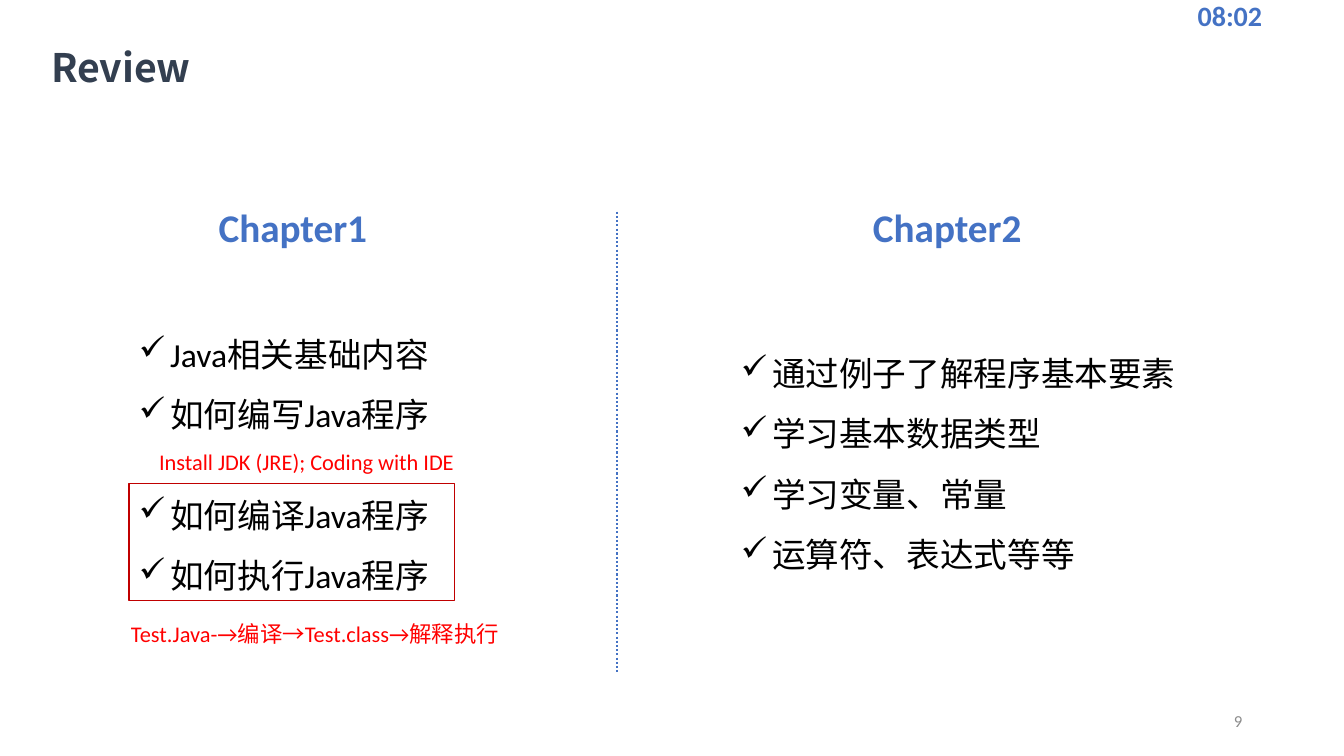
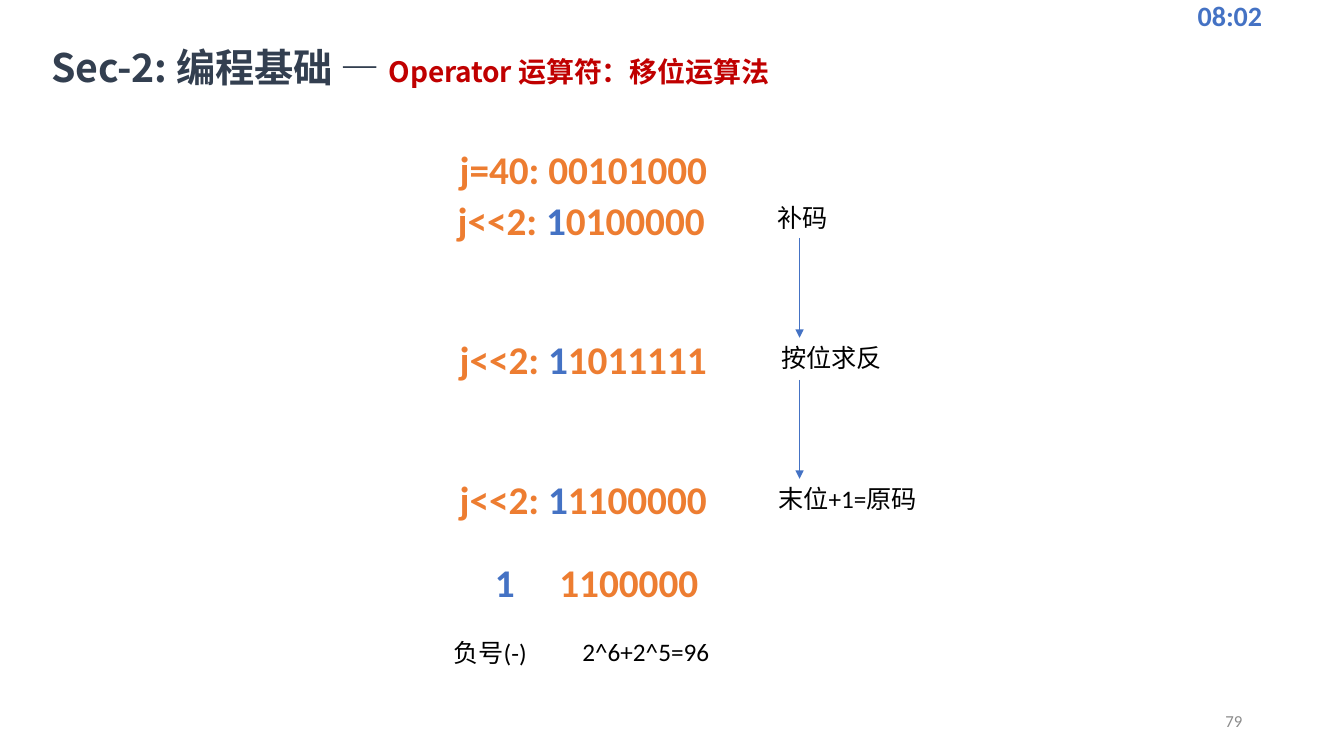
import pptx
import pptx.util
import pptx.dml.color
import pptx.enum.dml
import pptx.enum.shapes
import pptx.enum.text
import pptx.oxml.ns
import lxml.etree

Inches = pptx.util.Inches
Pt = pptx.util.Pt
ALIGN = pptx.enum.text.PP_ALIGN
ANCHOR = pptx.enum.text.MSO_ANCHOR

COLORS = {
    "blue": "4472C4", "orange": "ED7D31", "navy": "333F50",
    "crimson": "C00000", "red": "FF0000", "gray": "8C8C8C", "black": "000000",
}
BODY_FONT = "Calibri"
TITLE_FONT = "Noto Sans CJK SC"
CLOCK = "08:02"

REVIEW_TITLE = [("Review", 28, "navy")]
SHIFT_TITLE = [("Sec-2: 编程基础 — ", 28, "navy"),
               ("Operator 运算符：移位运算法", 20, "crimson")]

CHAPTERS = [
    {"name": "Chapter1", "heading": (2.07, 1.97, 1.73, 0.57),
     "box": (1.28, 3.06, 3.86, 2.91),
     "items": [("check", "Java相关基础内容"), ("check", "如何编写Java程序"),
               ("note", "Install JDK (JRE); Coding with IDE"),
               ("check", "如何编译Java程序"), ("check", "如何执行Java程序")]},
    {"name": "Chapter2", "heading": (8.56, 1.97, 2.2, 0.57),
     "box": (7.25, 3.25, 4.72, 2.52),
     "items": [("check", "通过例子了解程序基本要素"), ("check", "学习基本数据类型"),
               ("check", "学习变量、常量"), ("check", "运算符、表达式等等")]},
]
COMPILE_FLOW = "Test.Java-→编译→Test.class→解释执行"

BINARY_ROWS = [
    (4.46, 1.39, [("j=40: 00101000", "orange")]),
    (4.44, 1.9, [("j<<2: ", "orange"), ("1", "blue"), ("0100000", "orange")]),
    (4.46, 3.28, [("j<<2: ", "orange"), ("1", "blue"), ("1011111", "orange")]),
    (4.46, 4.67, [("j<<2: ", "orange"), ("1", "blue"), ("1100000", "orange")]),
    (4.81, 5.49, [("1", "blue")]),
    (5.45, 5.49, [("1100000", "orange")]),
]
STEP_LABELS = [(7.61, 1.96, "补码"), (7.65, 3.35, "按位求反"), (7.62, 4.75, "末位+1=原码")]
RESULT_LABELS = [(4.15, 6.27, 1.42, "负号(-)"), (5.49, 6.26, 1.83, "2^6+2^5=96")]
ARROW_X = 7.93
ARROW_SPANS = [(2.36, 3.35), (3.77, 4.75)]


def color(name):
    return pptx.dml.color.RGBColor.from_string(COLORS[name])


def add_run(paragraph, text, size, color_name, bold=False, font=BODY_FONT):
    run = paragraph.add_run()
    run.text = text
    run.font.size = Pt(size)
    run.font.name = font
    run.font.bold = bold
    run.font.color.rgb = color(color_name)
    return run


def add_frame(slide, box, anchor=ANCHOR.TOP):
    frame = slide.shapes.add_textbox(*map(Inches, box)).text_frame
    frame.word_wrap = True
    frame.vertical_anchor = anchor
    return frame


def add_text(slide, box, runs, size, bold=False, align=ALIGN.LEFT, anchor=ANCHOR.TOP):
    paragraph = add_frame(slide, box, anchor).paragraphs[0]
    paragraph.alignment = align
    for text, color_name in runs:
        add_run(paragraph, text, size, color_name, bold)


def add_title(slide, runs):
    frame = add_frame(slide, (0.5, 0.42, 7.66, 0.48))
    frame.margin_left = frame.margin_right = frame.margin_bottom = 0
    frame.margin_top = Inches(0.01)
    paragraph = frame.paragraphs[0]
    paragraph.space_before = Pt(0.9)
    paragraph._p.get_or_add_pPr().set("marL", str(Inches(0.01)))
    for text, size, color_name in runs:
        properties = add_run(paragraph, text, size, color_name, True, TITLE_FONT).font._element
        properties.set("spc", "-10")
        east_asian = lxml.etree.SubElement(properties, pptx.oxml.ns.qn("a:ea"))
        east_asian.set("typeface", TITLE_FONT)


def add_line(slide, start, end, width):
    line = slide.shapes.add_connector(
        pptx.enum.shapes.MSO_CONNECTOR.STRAIGHT, *map(Inches, start + end))
    line.line.color.rgb = color("blue")
    line.line.width = Pt(width)
    lxml.etree.SubElement(line._element.spPr, pptx.oxml.ns.qn("a:effectLst"))
    return line


def add_arrow(slide, start, end):
    arrow = add_line(slide, start, end, 0.5)
    tail = lxml.etree.SubElement(arrow.line._get_or_add_ln(), pptx.oxml.ns.qn("a:tailEnd"))
    tail.set("type", "triangle")


def add_checklist(slide, box, items):
    frame = add_frame(slide, box)
    for index, (kind, text) in enumerate(items):
        paragraph = frame.add_paragraph() if index else frame.paragraphs[0]
        paragraph.line_spacing = 1.5
        properties = paragraph._p.get_or_add_pPr()
        if kind == "check":
            properties.set("marL", str(Inches(0.31)))
            properties.set("indent", str(-Inches(0.31)))
            bullet = lxml.etree.SubElement(properties, pptx.oxml.ns.qn("a:buChar"))
            bullet.set("char", "✓")
            add_run(paragraph, text, 24, "black")
        else:
            properties.set("marL", str(Inches(0.2)))
            add_run(paragraph, text, 16, "red")


def new_slide(presentation, title, number):
    slide = presentation.slides.add_slide(presentation.slide_layouts[6])
    add_text(slide, (11.78, -0.05, 1.78, 0.4), [(CLOCK, "blue")], 20, True,
             anchor=ANCHOR.MIDDLE)
    add_text(slide, (9.42, 6.95, 3, 0.4), [(number, "gray")], 12,
             align=ALIGN.RIGHT, anchor=ANCHOR.MIDDLE)
    add_title(slide, title)
    return slide


def build_review(presentation):
    slide = new_slide(presentation, REVIEW_TITLE, "9")
    for chapter in CHAPTERS:
        add_text(slide, chapter["heading"], [(chapter["name"], "blue")], 28, True)
        add_checklist(slide, chapter["box"], chapter["items"])
    divider = add_line(slide, (6.12, 2.1), (6.12, 6.68), 1.5)
    divider.line.dash_style = pptx.enum.dml.MSO_LINE.ROUND_DOT
    highlight = slide.shapes.add_shape(
        pptx.enum.shapes.MSO_SHAPE.RECTANGLE, *map(Inches, (1.28, 4.8, 3.23, 1.16)))
    highlight.shadow.inherit = False
    highlight.fill.background()
    highlight.line.color.rgb = color("crimson")
    highlight.line.width = Pt(1)
    add_text(slide, (1.2, 6.1, 3.92, 0.37), [(COMPILE_FLOW, "red")], 16)


def build_shift(presentation):
    slide = new_slide(presentation, SHIFT_TITLE, "79")
    for left, top, runs in BINARY_ROWS:
        add_text(slide, (left, top, 2.94, 0.57), runs, 28, True)
    for left, top, label in STEP_LABELS:
        add_text(slide, (left, top, 2.56, 0.4), [(label, "black")], 18)
    for left, top, width, label in RESULT_LABELS:
        add_text(slide, (left, top, width, 0.4), [(label, "black")], 18, align=ALIGN.CENTER)
    for top, bottom in ARROW_SPANS:
        add_arrow(slide, (ARROW_X, top), (ARROW_X, bottom))


def main():
    presentation = pptx.Presentation()
    presentation.slide_width = Inches(13.33)
    presentation.slide_height = Inches(7.5)
    build_review(presentation)
    build_shift(presentation)
    presentation.save("out.pptx")


if __name__ == "__main__":
    main()
